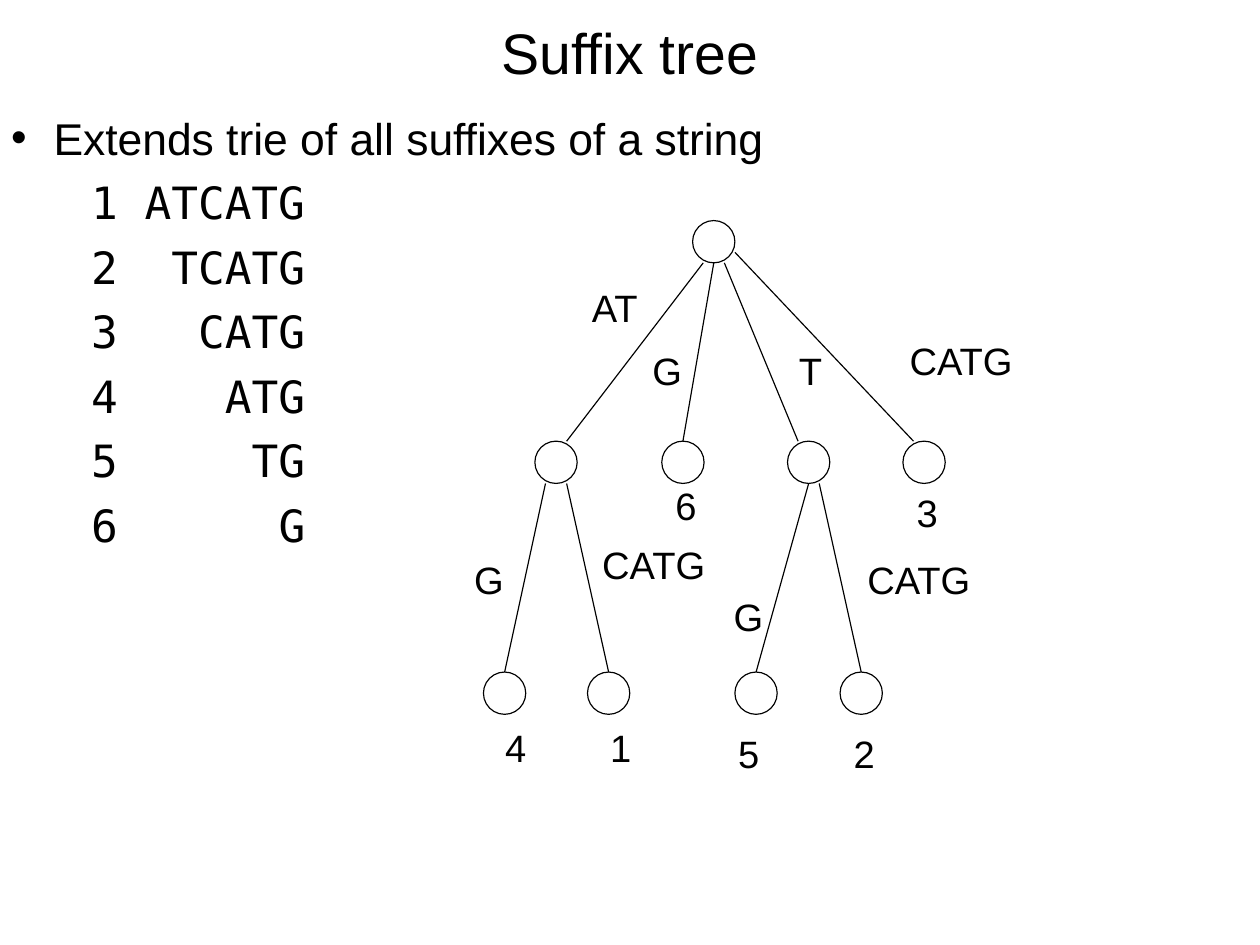
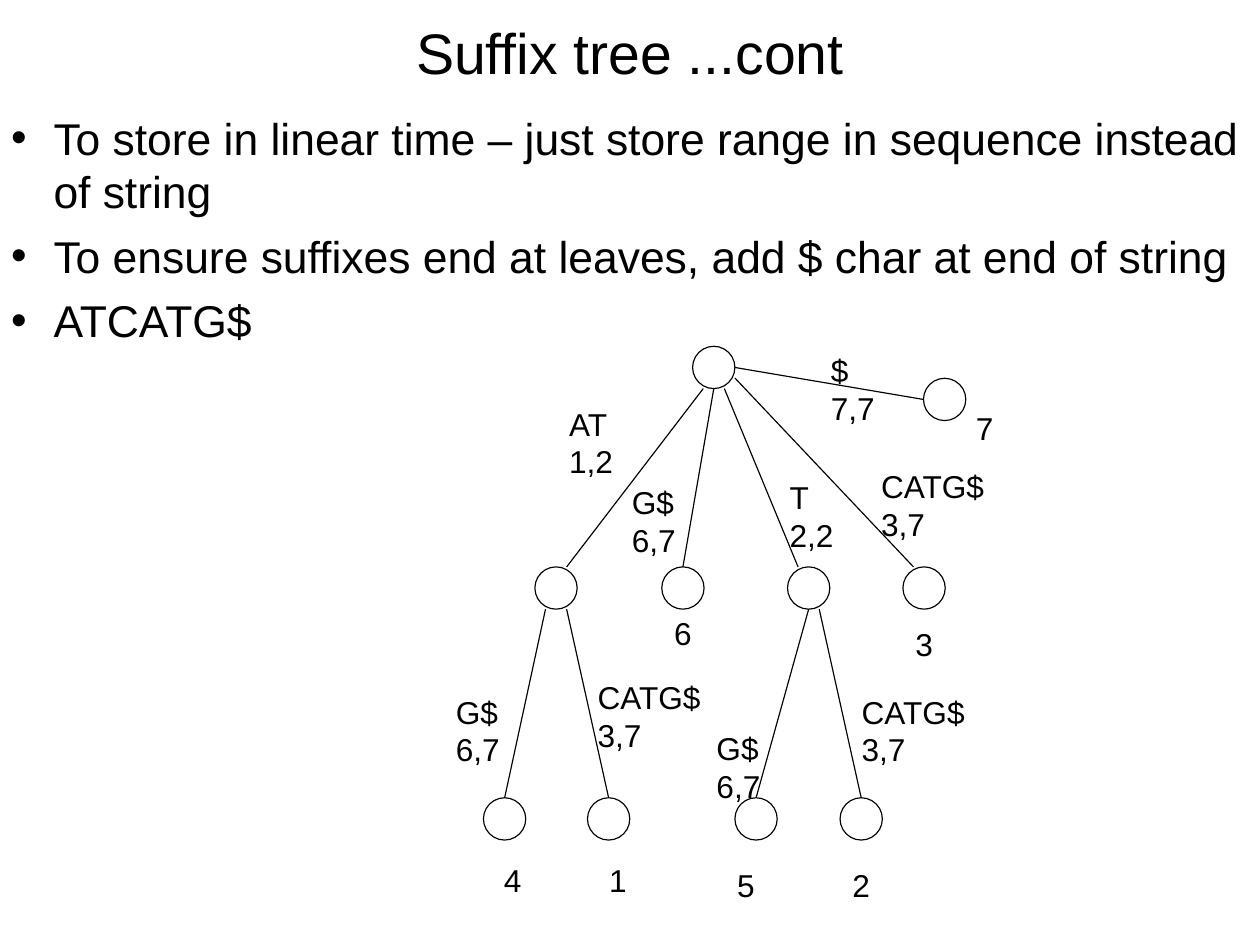
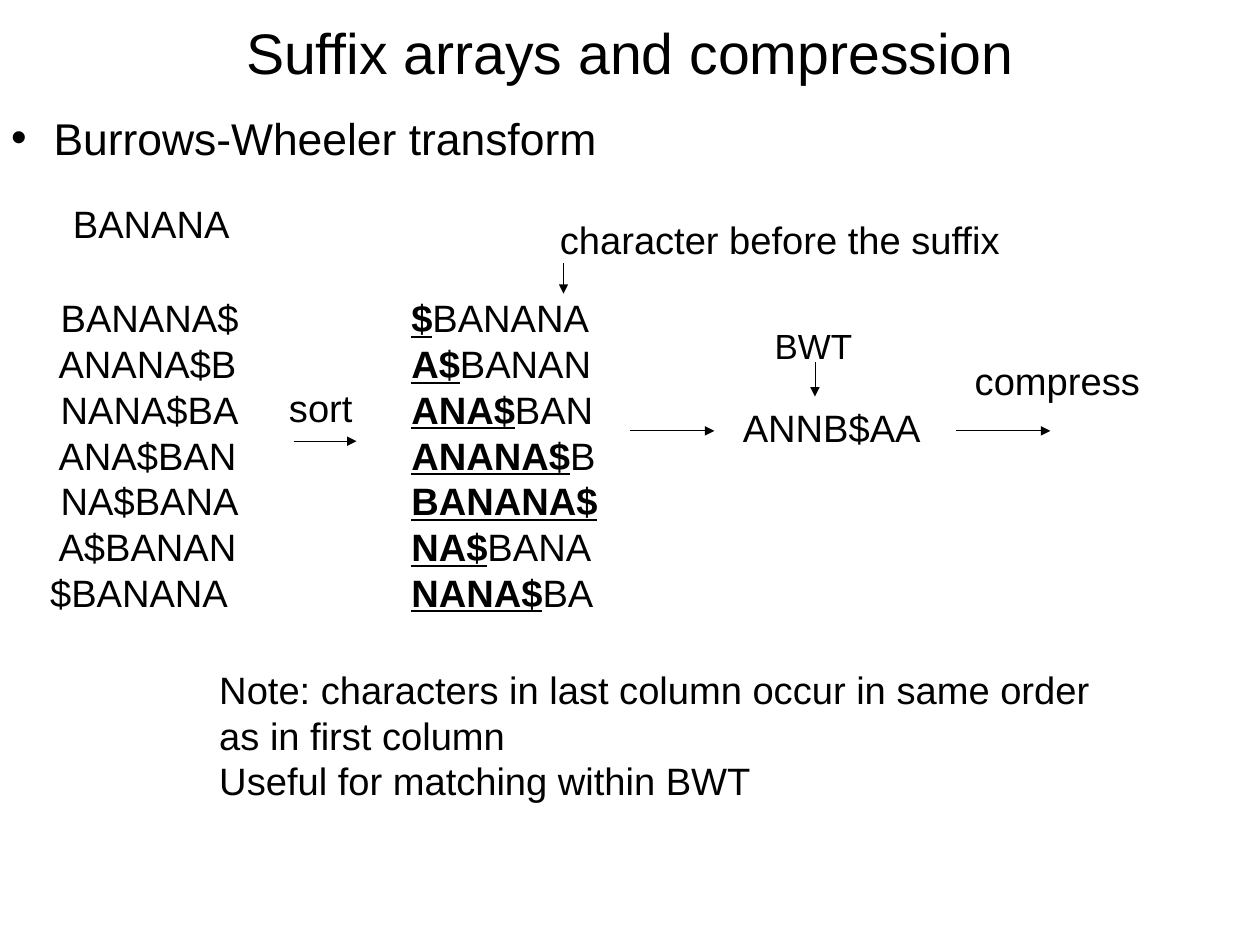
from lxml import etree
from pptx import Presentation
from pptx.dml.color import RGBColor
from pptx.enum.shapes import MSO_CONNECTOR, MSO_SHAPE
from pptx.enum.text import MSO_ANCHOR, MSO_AUTO_SIZE, PP_ALIGN
from pptx.oxml.ns import qn
from pptx.util import Inches, Pt

LINE, OVAL = MSO_CONNECTOR.STRAIGHT, MSO_SHAPE.OVAL
CENTER, LEFT = PP_ALIGN.CENTER, PP_ALIGN.LEFT
MIDDLE, TOP = MSO_ANCHOR.MIDDLE, MSO_ANCHOR.TOP
FIXED = MSO_AUTO_SIZE.NONE

# Shared style; the page is 28 by 21 cm
WIDE, HIGH = 28 / 2.54, 21 / 2.54
INK = "000000"
SANS, MONO = "Arial", "DejaVu Sans Mono"
MARK = {"bold": True, "underline": True}
THIN, HAIR = 0.75, 0.01
NODE = 0.37
INDENT = 0.37
STEP = 16.86  # points that one letter of the fixed-width rows takes

# Tree: left edges of the nodes and top of each level, below the root
ROOT = (6.06, 0)
INNER = [(x, 1.93) for x in (4.68, 5.79, 6.89, 7.9)]
LEAVES = [(x, 3.95) for x in (4.23, 5.14, 6.43, 7.35)]
# Edges: node, its anchor, child, its anchor (anchors are fractions of a node)
EDGES = [
    (ROOT, (0.25, 1), INNER[0], (0.75, 0)),
    (ROOT, (0.5, 1), INNER[1], (0.5, 0)),
    (ROOT, (0.75, 1), INNER[2], (0.25, 0)),
    (ROOT, (1, 0.75), INNER[3], (0.25, 0)),
    (INNER[0], (0.25, 1), LEAVES[0], (0.5, 0)),
    (INNER[0], (0.75, 1), LEAVES[1], (0.5, 0)),
    (INNER[2], (0.5, 1), LEAVES[2], (0.5, 0)),
    (INNER[2], (0.75, 1), LEAVES[3], (0.5, 0)),
]
SPUR = (8.08, 0.28)

# Labels: left, top, width, lines of text
PLAIN = [
    (5.08, 2.44, 0.6, "AT"), (5.61, 2.99, 0.46, "G"),
    (6.89, 2.99, 0.4, "T"), (7.86, 2.9, 1.1, "CATG"),
    (4.05, 4.82, 0.46, "G"), (5.17, 4.69, 1.1, "CATG"),
    (6.32, 5.14, 0.46, "G"), (7.49, 4.82, 1.1, "CATG"),
    (4.32, 6.29, 0.38, "4"), (5.24, 6.29, 0.38, "1"),
    (5.81, 4.17, 0.38, "6"), (6.36, 6.34, 0.38, "5"),
    (7.37, 6.34, 0.38, "2"), (7.92, 4.23, 0.38, "3"),
]
RANGED = [
    (4.88, 3.49, 0.58, "AT", "1,2"), (5.43, 4.18, 0.58, "G$", "6,7"),
    (6.81, 4.13, 0.58, "T", "2,2"), (7.61, 4.04, 1.1, "CATG$", "3,7"),
    (3.89, 6.01, 0.58, "G$", "6,7"), (5.13, 5.88, 1.1, "CATG$", "3,7"),
    (6.17, 6.33, 0.58, "G$", "6,7"), (7.44, 6.01, 1.1, "CATG$", "3,7"),
    (4.31, 7.48, 0.35, "4"), (5.23, 7.48, 0.35, "1"),
    (5.8, 5.32, 0.35, "6"), (6.35, 7.53, 0.35, "5"),
    (7.36, 7.53, 0.35, "2"), (7.91, 5.42, 0.35, "3"),
    (7.17, 3.02, 0.58, "$", "7,7"), (8.44, 3.53, 0.35, "7"),
]


def color(code):
    return RGBColor.from_string(code)


def place(shape, left, top, width, height):
    box = {"left": left, "top": top, "width": width, "height": height}
    for name, value in box.items():
        setattr(shape, name, Inches(value))


def add_run(para, text, size, face=SANS, **extra):
    run = para.add_run()
    run.text = text
    for name, value in {"name": face, "size": Pt(size), **extra}.items():
        setattr(run.font, name, value)
    run.font.color.rgb = color(INK)
    return run


def set_frame(frame, anchor=TOP, wrap=True):
    style = {"auto_size": FIXED, "vertical_anchor": anchor, "word_wrap": wrap,
             "margin_left": Inches(0.1), "margin_right": Inches(0.1),
             "margin_top": Inches(0.05), "margin_bottom": Inches(0.05)}
    for name, value in style.items():
        setattr(frame, name, value)


def add_paras(frame, count):
    """Return count empty paragraphs, the first being the one already there."""
    return [frame.paragraphs[0]] + [frame.add_paragraph() for _ in range(count - 1)]


def add_label(slide, left, top, width, *lines, size=24):
    """Add text lines; a line is a string or a list of (text, format) pairs."""
    high = 0.1 + len(lines) * size * 1.115 / 72
    box = slide.shapes.add_textbox(0, 0, 0, 0)
    place(box, left, top, width, high)
    set_frame(box.text_frame, wrap=False)
    for para, line in zip(add_paras(box.text_frame, len(lines)), lines):
        para.alignment = LEFT
        for text, form in [(line, {})] if isinstance(line, str) else line:
            add_run(para, text, size, **form)


def set_indent(para, left, first):
    props = para._p.get_or_add_pPr()
    props.set("marL", str(Inches(left)))
    props.set("indent", str(Inches(first)))
    return props


def fill_point(para, text):
    props = set_indent(para, INDENT, -INDENT)
    etree.SubElement(props, qn("a:buFont")).set("typeface", SANS)
    etree.SubElement(props, qn("a:buChar")).set("char", "•")
    add_run(para, text, 28)


def fill_row(para, row):
    """Write number and suffix, the gap widened by a letter for each number."""
    number, suffix = row
    set_indent(para, 0.7, 0)
    add_run(para, str(number), 28, MONO)
    gap = add_run(para, " ", 28, MONO)
    gap.font._element.set("spc", str(round((number - 1) * STEP * 100)))
    add_run(para, suffix, 28, MONO)


def add_page(deck, title, points, rows=()):
    slide = deck.slides.add_slide(deck.slide_layouts[5])
    head = slide.shapes.title
    place(head, 0, 0.07, WIDE, 0.77)
    set_frame(head.text_frame, MIDDLE)
    para = head.text_frame.paragraphs[0]
    para.alignment = CENTER
    add_run(para, title, 36)

    body = slide.shapes.add_textbox(0, 0, 0, 0)
    place(body, 0, 0.92, WIDE, HIGH - 0.92)
    set_frame(body.text_frame)
    items = [(fill_point, text) for text in points]
    items += [(fill_row, row) for row in rows]
    for para, (fill, item) in zip(add_paras(body.text_frame, len(items)), items):
        para.space_before = Pt(7)
        fill(para, item)
    return slide


def add_line(slide, start, end, width=THIN, arrow=False):
    ends = [Inches(value) for value in (*start, *end)]
    line = slide.shapes.add_connector(LINE, *ends)
    line.line.color.rgb = color(INK)
    line.line.width = Pt(width)
    props = line._element.spPr
    if arrow:
        tip = etree.SubElement(props.find(qn("a:ln")), qn("a:tailEnd"))
        tip.set("type", "triangle")
    etree.SubElement(props, qn("a:effectLst"))


def add_node(slide, left, top):
    node = slide.shapes.add_shape(OVAL, 0, 0, 0, 0)
    place(node, left, top, NODE, NODE)
    node.shadow.inherit = False
    node.fill.background()
    node.line.color.rgb = color(INK)
    node.line.width = Pt(THIN)


def add_tree(slide, top, nodes, edges):
    def anchor(node, part):
        return node[0] + part[0] * NODE, top + node[1] + part[1] * NODE

    for left, drop in nodes:
        add_node(slide, left, top + drop)
    for node, out, child, into in edges:
        add_line(slide, anchor(node, out), anchor(child, into))


def split_mark(text):
    """Mark the suffix, which ends at the $ sign."""
    cut = text.index("$") + 1
    return [(part, form) for part, form in ((text[:cut], MARK), (text[cut:], {})) if part]


def add_transform(slide):
    word = "BANANA"
    full = word + "$"
    turns = [full[i:] + full[:i] for i in range(len(full))]
    ranked = sorted(turns)
    add_label(slide, 0.54, 1.7, 1.57, word)
    add_label(slide, 0.34, 2.53, 1.85, *[" " + turn for turn in turns[:-1]], turns[-1])
    add_label(slide, 3.5, 2.53, 1.83, *map(split_mark, ranked))

    # Steps and their arrows
    add_label(slide, 2.43, 3.31, 0.75, "sort")
    add_label(slide, 6.4, 3.49, 1.75, "".join(turn[-1] for turn in ranked))
    add_label(slide, 8.43, 3.08, 1.64, "compress")
    add_label(slide, 4.8, 1.84, 4.05, "character before the suffix")
    add_label(slide, 6.68, 2.79, 0.97, "BWT", size=22)
    for start, end, width in (
        ((2.57, 3.86), (3.12, 3.86), THIN),
        ((5.51, 3.77), (6.25, 3.77), THIN),
        ((8.36, 3.77), (9.19, 3.77), THIN),
        ((4.93, 2.3), (4.93, 2.57), THIN),
        ((7.13, 3.17), (7.13, 3.47), HAIR),
    ):
        add_line(slide, start, end, width, arrow=True)
    add_label(slide, 1.82, 5.78, 7.9,
              "Note: characters in last column occur in same order",
              "as in first column", "Useful for matching within BWT")


def main():
    deck = Presentation()
    deck.slide_width, deck.slide_height = Inches(WIDE), Inches(HIGH)
    nodes = [ROOT, *INNER, *LEAVES]

    # Tree of all suffixes
    word = "ATCATG"
    rows = [(i + 1, word[i:]) for i in range(len(word))]
    slide = add_page(deck, "Suffix tree",
                     ["Extends trie of all suffixes of a string"], rows)
    add_tree(slide, 1.93, nodes, EDGES)
    for label in PLAIN:
        add_label(slide, *label)

    # Tree with ranges and an end sign
    slide = add_page(deck, "Suffix tree ...cont", [
        "To store in linear time – just store range in sequence instead of string",
        "To ensure suffixes end at leaves, add $ char at end of string",
        "ATCATG$",
    ])
    add_tree(slide, 3.03, nodes + [SPUR], EDGES + [(ROOT, (1, 0.5), SPUR, (0, 0.5))])
    for label in RANGED:
        add_label(slide, *label, size=19.9)

    # Transform
    slide = add_page(deck, "Suffix arrays and compression",
                     ["Burrows-Wheeler transform"])
    add_transform(slide)
    deck.save("out.pptx")


if __name__ == "__main__":
    main()
